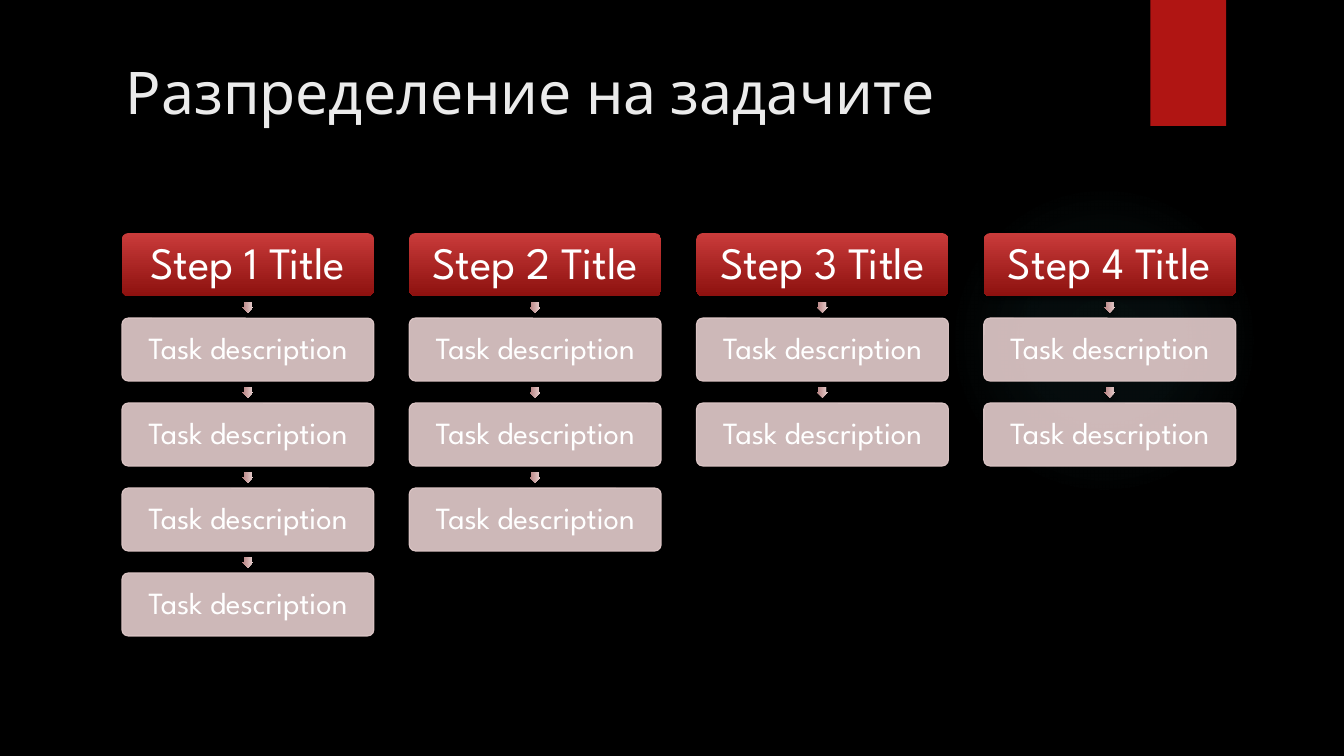
from pptx import Presentation
from pptx.dml.color import RGBColor
from pptx.enum.shapes import MSO_SHAPE as Shape
from pptx.enum.text import MSO_ANCHOR as Anchor, PP_ALIGN as Align
from pptx.oxml.ns import qn
from pptx.util import Pt
from lxml.etree import SubElement as Sub

FONT = "League Spartan"
TASKS = [4, 3, 2, 2]
LEFT, TOP = 87.1, 166.5
WIDE, HIGH = 180, 45
STEP_X, STEP_Y = 205.2, 60.7
TIP = 7.9
HEAD = {"size": 32, "inset": 2.9}
TASK = {"size": 22, "inset": 2.2}


def tone(text):
    """Turn a hex string into a colour."""
    return RGBColor.from_string(text)


def fade(node, share):
    """Set the opacity in percent of a colour node."""
    Sub(node, qn("a:alpha"), val=str(share * 1000))


def shape(slide, kind, x, y, wide, high):
    """Add a preset shape with no line and no shadow."""
    item = slide.shapes.add_shape(kind, Pt(x), Pt(y), Pt(wide), Pt(high))
    item.shadow.inherit = False
    item.line.fill.background()
    return item


def shade(item):
    """Give a shape a soft shadow below it."""
    effect = item._element.spPr.find(qn("a:effectLst"))
    cast = Sub(effect, qn("a:outerShdw"), blurRad=str(Pt(3)), dist=str(Pt(2)),
               dir="5400000", algn="ctr", rotWithShape="0")
    fade(Sub(cast, qn("a:srgbClr"), val="000000"), 45)


def blend(item, first, last):
    """Fill a shape with a gradient from top to bottom."""
    item.fill.gradient()
    item.fill.gradient_angle = 270
    for stop, color, place in zip(item.fill.gradient_stops, (first, last), (0, 1)):
        stop.color.rgb = tone(color)
        stop.position = place


def glow(slide):
    """Add the faint round glow."""
    item = shape(slide, Shape.OVAL, 677.5, 131.8, 221.8, 221.8)
    item.fill.gradient()
    grad = item._element.spPr.find(qn("a:gradFill"))
    grad.clear()
    stops = Sub(grad, qn("a:gsLst"))
    for place, share in ((0, 7), (36, 6), (69, 0)):
        stop = Sub(stops, qn("a:gs"), pos=str(place * 1000))
        fade(Sub(stop, qn("a:srgbClr"), val="50B9C1"), share)
    ring = Sub(grad, qn("a:path"), path="circle")
    Sub(ring, qn("a:fillToRect"), l="50000", t="50000", r="50000", b="50000")


def ribbon(slide):
    """Add the red ribbon at the top edge."""
    item = shape(slide, Shape.RECTANGLE, 821.8, 0, 54, 90)
    item.fill.solid()
    item.fill.fore_color.rgb = tone("B01513")
    shade(item)


def write(frame, text, size, color):
    """Write one styled paragraph and return it."""
    para = frame.paragraphs[0]
    run = para.add_run()
    run.text = text
    for name, value in {"name": FONT, "size": Pt(size), "color": color}.items():
        if name == "color":
            run.font.color.rgb = tone(value)
        else:
            setattr(run.font, name, value)
    return para


def title(slide, text):
    """Add the slide title."""
    box = slide.shapes.add_textbox(Pt(82.8), Pt(36), Pt(708.5), Pt(110))
    box.text_frame.word_wrap = True
    write(box.text_frame, text, 42, "EBEBEB")


def card(slide, x, y, text, size, inset):
    """Add a rounded box with centred text."""
    item = shape(slide, Shape.ROUNDED_RECTANGLE, x, y, WIDE, HIGH)
    item.adjustments[0] = 0.1
    frame = item.text_frame
    style = {"word_wrap": True, "vertical_anchor": Anchor.MIDDLE}
    style.update({f"margin_{side}": Pt(inset)
                  for side in ("left", "top", "right", "bottom")})
    for name, value in style.items():
        setattr(frame, name, value)
    para = write(frame, text, size, "FFFFFF")
    para.alignment = Align.CENTER
    para.line_spacing = 0.9
    return item


def head(slide, x, text):
    """Add the red box on top of a column."""
    item = card(slide, x, TOP, text, **HEAD)
    blend(item, "C93B3A", "8D110F")
    shade(item)


def task(slide, x, y):
    """Add a pale task box."""
    item = card(slide, x, y, "Task description", **TASK)
    item.line.width = Pt(0.75)
    for fill in (item.fill, item.line.fill):
        fill.solid()
        fill.fore_color.rgb = tone("E4CCCC")
    for node in item._element.spPr.iter(qn("a:srgbClr")):
        fade(node, 90)


def arrow(slide, x, y):
    """Add a small arrow in the gap above a task box."""
    gap = STEP_Y - HIGH
    item = shape(slide, Shape.RIGHT_ARROW, x + (WIDE - TIP) / 2,
                 y - (gap + TIP) / 2, TIP, TIP)
    item.rotation = 90
    item.adjustments[0] = 0.667
    item.adjustments[1] = 0.5
    blend(item, "E8D2D1", "B57F7F")
    shade(item)


def main():
    """Build and save the slide."""
    deck = Presentation()
    deck.slide_width, deck.slide_height = Pt(960), Pt(540)
    slide = deck.slides.add_slide(deck.slide_layouts[6])
    back = slide.background.fill
    back.solid()
    back.fore_color.rgb = tone("000000")
    glow(slide)
    ribbon(slide)
    title(slide, "Разпределение на задачите")
    for col, count in enumerate(TASKS):
        x = LEFT + col * STEP_X
        head(slide, x, f"Step {col + 1} Title")
        for row in range(1, count + 1):
            y = TOP + row * STEP_Y
            arrow(slide, x, y)
            task(slide, x, y)
    deck.save("out.pptx")


main()
